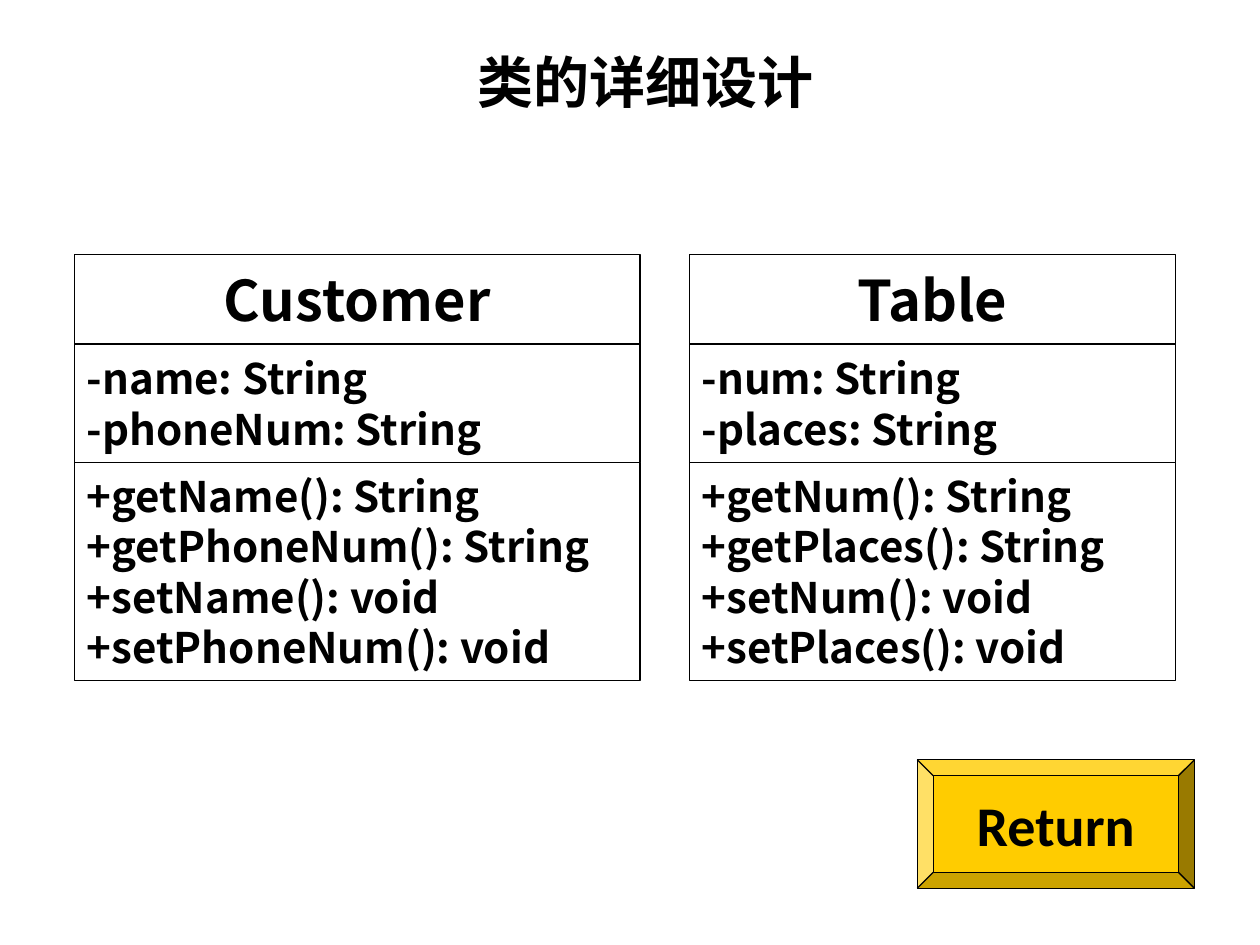
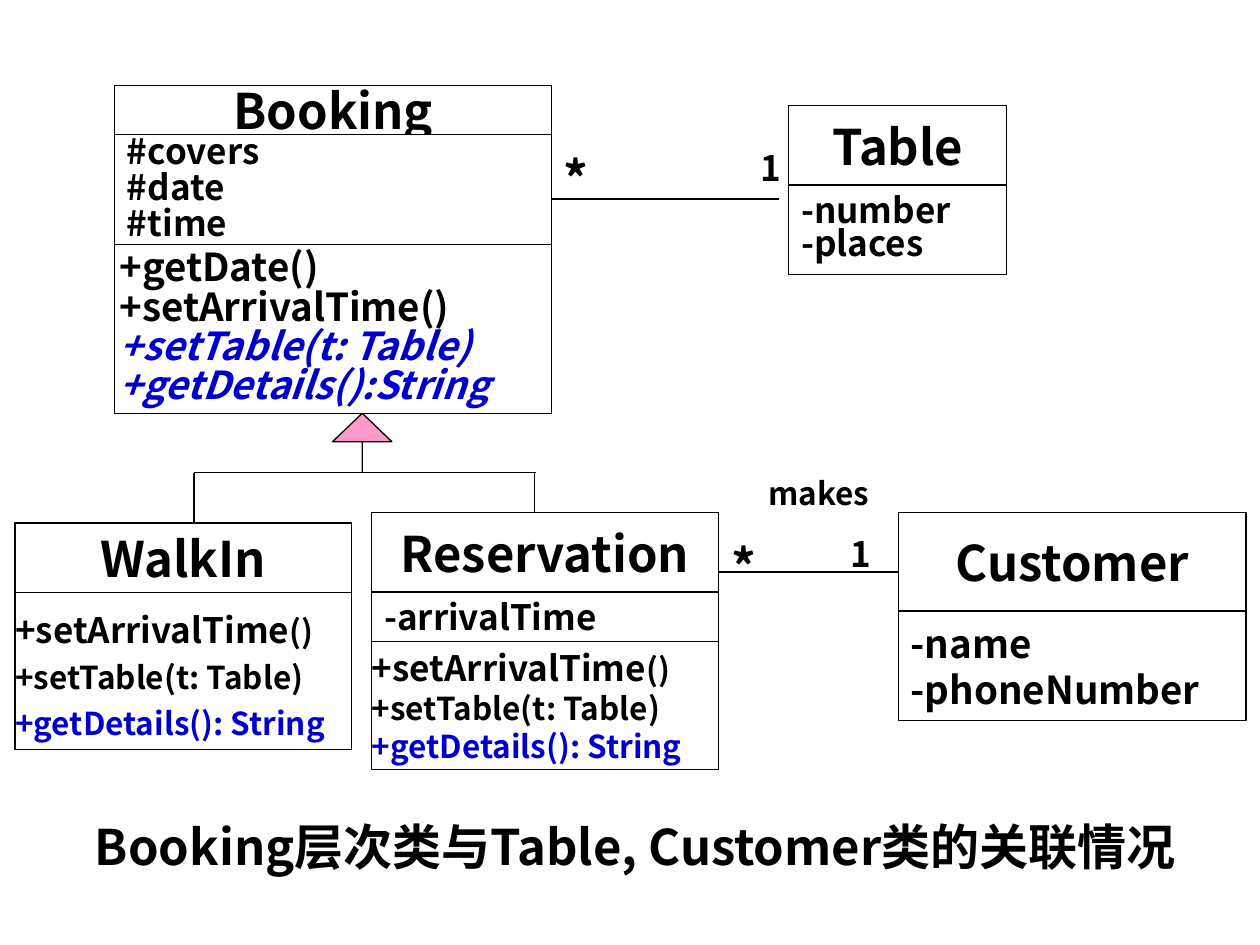
from dataclasses import dataclass

from lxml import etree
from pptx import Presentation
from pptx import util as u
from pptx.dml.color import RGBColor
from pptx.enum import shapes, text
from pptx.oxml.ns import qn

COLOURS = {
    "ink": "000000",
    "paper": "FFFFFF",
    "abstract": "0000CC",
    "button": "FFCC00",
    "triangle": "FF99CC",
}
FONT = "Noto Sans CJK SC"
BUTTON_FONT = "Calibri"
CENTER = text.PP_ALIGN.CENTER
LEFT = text.PP_ALIGN.LEFT


@dataclass
class Line:
    """One line of text; the tail is a second run at its own size."""
    words: str
    size: float
    colour: str = "ink"
    italic: bool = False
    tail: str = ""
    tail_size: float = 18


@dataclass
class Part:
    """One compartment of a class box."""
    height: float
    lines: list
    spacing: float = 1.0
    inset: float = 0.1


def lines(size, *words):
    return [Line(word, size) for word in words]


class Diagram:
    def __init__(self, deck):
        self.deck = deck
        self.page = None

    def new_page(self):
        self.page = self.deck.slides.add_slide(self.deck.slide_layouts[6])

    def rgb(self, colour):
        return RGBColor.from_string(COLOURS[colour])

    def fill_text(self, frame, content, align=LEFT, spacing=1.0, font=FONT):
        for index, line in enumerate(content):
            para = frame.add_paragraph() if index else frame.paragraphs[0]
            para.alignment = align
            para.line_spacing = spacing
            para.font.name = font
            para.font.size = u.Pt(line.size)
            para.font.bold = True
            para.font.italic = line.italic
            para.font.color.rgb = self.rgb(line.colour)
            # East Asian characters need the typeface named separately
            latin = para.font._element.find(qn("a:latin"))
            latin.addnext(etree.Element(qn("a:ea"), typeface=font))
            para.add_run().text = line.words
            if line.tail:
                span = para.add_run()
                span.text = line.tail
                span.font.size = u.Pt(line.tail_size)

    def shape(self, kind, left, top, width, height, fill="paper"):
        box = self.page.shapes.add_shape(
            kind, *map(u.Inches, (left, top, width, height)))
        box.shadow.inherit = False
        box.fill.solid()
        box.fill.fore_color.rgb = self.rgb(fill)
        box.line.color.rgb = self.rgb("ink")
        box.line.width = u.Pt(0.75)
        frame = box.text_frame
        frame.word_wrap = False
        frame.vertical_anchor = text.MSO_ANCHOR.MIDDLE
        return box

    def class_box(self, left, top, width, name, name_height, name_size, parts):
        head = self.shape(shapes.MSO_SHAPE.RECTANGLE, left, top, width, name_height)
        self.fill_text(head.text_frame, lines(name_size, name), CENTER)
        top += name_height
        for part in parts:
            box = self.shape(shapes.MSO_SHAPE.RECTANGLE, left, top, width, part.height)
            frame = box.text_frame
            frame.margin_left = frame.margin_right = u.Inches(part.inset)
            self.fill_text(frame, part.lines, spacing=part.spacing)
            top += part.height

    def label(self, left, top, width, height, words, size, align=LEFT,
              margins=(0.1, 0.05), anchor=text.MSO_ANCHOR.TOP):
        box = self.page.shapes.add_textbox(
            *map(u.Inches, (left, top, width, height)))
        frame = box.text_frame
        frame.word_wrap = True
        frame.vertical_anchor = anchor
        frame.margin_left = frame.margin_right = u.Inches(margins[0])
        frame.margin_top = frame.margin_bottom = u.Inches(margins[1])
        self.fill_text(frame, lines(size, words), align)

    def line(self, *ends):
        link = self.page.shapes.add_connector(
            shapes.MSO_CONNECTOR.STRAIGHT, *map(u.Inches, ends))
        link.line.color.rgb = self.rgb("ink")
        link.line.width = u.Pt(0.75)
        etree.SubElement(link._element.spPr, qn("a:effectLst"))

    def association(self, start, end, y, many, one):
        """A line with * and 1 at its ends; many and one are label corners."""
        self.line(start, y, end, y)
        self.label(*many, 0.39, 0.57, "*", 28)
        self.label(*one, 0.39, 0.43, "1", 20)


def build_class_details(diagram):
    diagram.new_page()

    # Two classes with matching compartments
    for left, width, name, first, second in (
            (0.59, 4.49, "Customer", "name", "phoneNum"),
            (5.47, 3.86, "Table", "num", "places")):
        fields = (first, second)
        methods = [field[0].upper() + field[1:] for field in fields]
        attributes = lines(24, *(f"-{field}: String" for field in fields))
        operations = lines(24, *(f"+get{method}(): String" for method in methods),
                           *(f"+set{method}(): void" for method in methods))
        diagram.class_box(left, 2.02, width, name, 0.71, 32,
                          [Part(0.94, attributes), Part(1.73, operations)])

    # Return button
    button = diagram.shape(shapes.MSO_SHAPE.BEVEL, 7.28, 6.03, 2.2, 1.02, "button")
    button.adjustments[0] = 0.125
    diagram.fill_text(button.text_frame, lines(32, "Return"), CENTER,
                      font=BUTTON_FONT)

    # Title
    diagram.label(3.11, 0.22, 4.03, 0.85, "类的详细设计", 32, CENTER,
                  anchor=text.MSO_ANCHOR.MIDDLE)


def build_booking_hierarchy(diagram):
    diagram.new_page()

    # Inheritance tree: crossbar, two branches and the triangle
    diagram.line(1.54, 3.75, 4.25, 3.75)
    diagram.line(1.54, 3.75, 1.54, 4.15)
    diagram.line(4.24, 3.75, 4.24, 4.07)
    triangle = diagram.shape(shapes.MSO_SHAPE.UP_ARROW, 2.64, 3.28, 0.47, 0.47,
                             "triangle")
    triangle.adjustments[0] = 0
    triangle.adjustments[1] = 0.48

    # Associations
    diagram.association(4.37, 6.18, 1.58, (4.37, 1.13), (5.94, 1.11))
    diagram.association(5.47, 7.68, 4.54, (5.71, 4.21), (6.65, 4.18))
    diagram.label(6.1, 3.75, 0.94, 0.33, "makes", 18, margins=(0, 0.01))

    # Base class and the associated classes
    operations = lines(22, "+getDate()", "+setArrivalTime()") + [
        Line(words, 22, "abstract", italic=True)
        for words in ("+setTable(t: Table)", "+getDetails():String")]
    diagram.class_box(0.91, 0.68, 3.47, "Booking", 0.39, 28, [
        Part(0.87, lines(20, "#covers", "#date", "#time"), 0.85),
        Part(1.34, operations, 0.85, 0.04)])
    diagram.class_box(6.26, 0.84, 1.73, "Table", 0.63, 28, [
        Part(0.71, lines(20, "-number", "-places"), 0.8)])
    diagram.class_box(7.13, 4.07, 2.76, "Customer", 0.78, 28, [
        Part(0.87, lines(22, "-name", "-phoneNumber"))])

    # Subclasses override the same operations
    overrides = [Line("+setArrivalTime", 20, tail="()"),
                 Line("+setTable(t: Table)", 18),
                 Line("+getDetails(): String", 18, "abstract")]
    diagram.class_box(2.95, 4.07, 2.75, "Reservation", 0.63, 28, [
        Part(0.39, lines(20, "-arrivalTime")),
        Part(1.02, overrides, inset=0)])
    diagram.class_box(0.12, 4.15, 2.67, "WalkIn", 0.55, 28, [
        Part(1.25, overrides, 1.2, 0)])

    # Caption
    diagram.label(0.59, 6.43, 8.9, 0.57,
                  "Booking层次类与Table, Customer类的关联情况", 28, CENTER)


def main():
    deck = Presentation()
    deck.slide_width = u.Inches(10)
    deck.slide_height = u.Inches(7.5)
    diagram = Diagram(deck)
    build_class_details(diagram)
    build_booking_hierarchy(diagram)
    deck.save("out.pptx")


if __name__ == "__main__":
    main()
